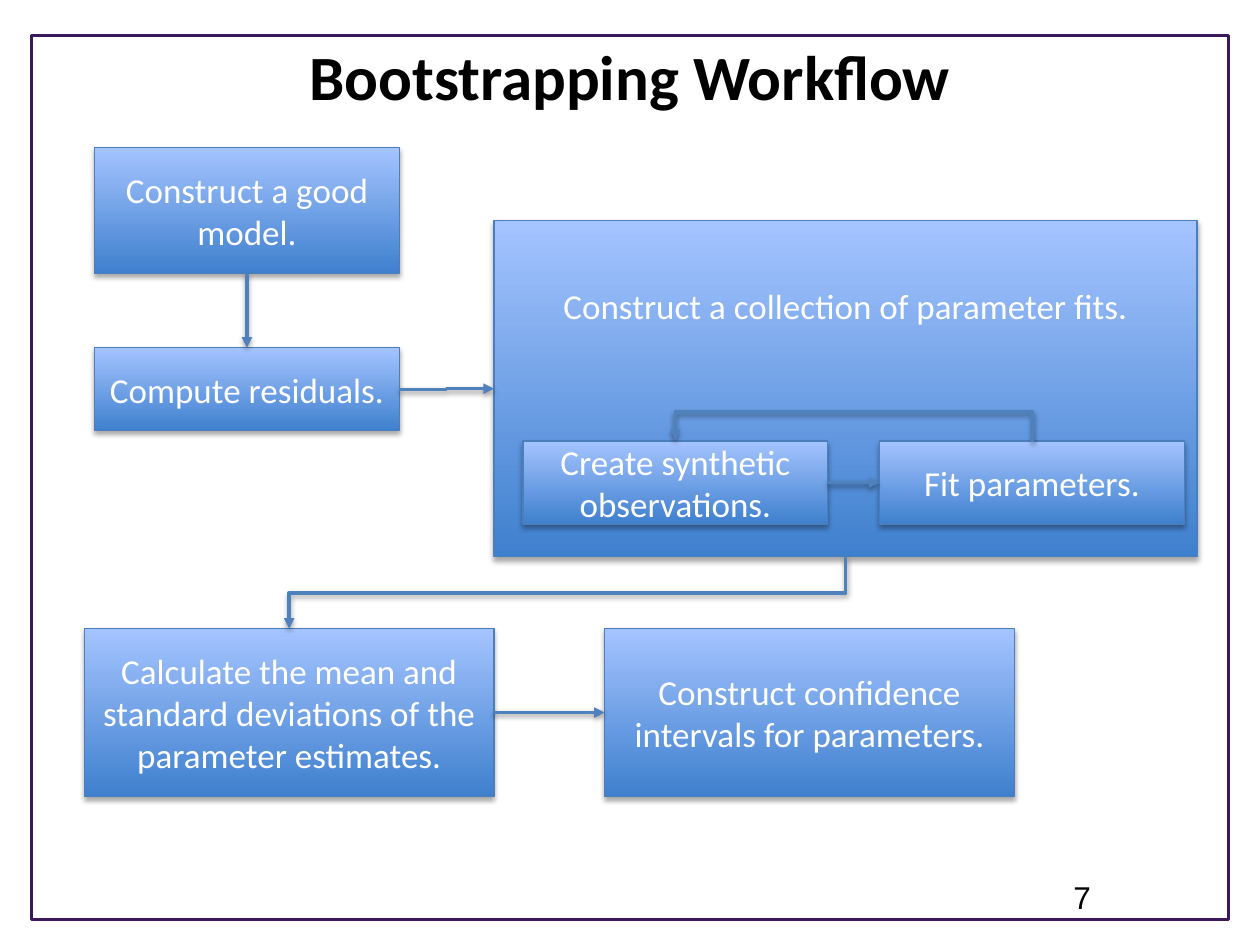
from lxml import etree
from pptx import Presentation
from pptx.dml.color import RGBColor
from pptx.enum.dml import MSO_LINE
from pptx.enum.shapes import MSO_CONNECTOR, MSO_SHAPE
from pptx.enum.text import MSO_ANCHOR, PP_ALIGN
from pptx.oxml.ns import qn
from pptx.util import Inches, Pt

RECTANGLE = MSO_SHAPE.RECTANGLE
ELBOW = MSO_CONNECTOR.ELBOW
SOLID = MSO_LINE.SOLID
TOP, MIDDLE = MSO_ANCHOR.TOP, MSO_ANCHOR.MIDDLE
LEFT, CENTER = PP_ALIGN.LEFT, PP_ALIGN.CENTER

# Connection sites of a rectangle
SITE_TOP, SITE_LEFT, SITE_BOTTOM, SITE_RIGHT = range(4)

# Grid: left edges, row tops and box sizes in inches
COLUMN, INNER_COLUMN, BOTTOM_COLUMN = 0.75, 4.15, 0.67
INNER_ROW, BOTTOM_ROW = 3.5, 4.99
SMALL_WIDTH, SMALL_HEIGHT = 2.42, 0.66
LARGE_WIDTH, LARGE_HEIGHT = 3.25, 1.33
INNER_STEP, BOTTOM_STEP = 2.83, 4.13


def color(hex_string):
    return RGBColor.from_string(hex_string)


def write(shape, text, size, font, hex_color, align=CENTER, anchor=MIDDLE, bold=False):
    frame = shape.text_frame
    frame.text = text
    frame.word_wrap = True
    frame.vertical_anchor = anchor
    para = frame.paragraphs[0]
    para.alignment = align
    span = para.runs[0]
    span.font.size = Pt(size)
    span.font.name = font
    span.font.bold = bold
    span.font.color.rgb = color(hex_color)


def add_shadow(shape, opacity, distance):
    """Soft black shadow straight below the shape."""
    properties = shape._element.spPr
    for old in properties.findall(qn("a:effectLst")):
        properties.remove(old)
    effects = etree.SubElement(properties, qn("a:effectLst"))
    shadow = etree.SubElement(effects, qn("a:outerShdw"), blurRad=str(Pt(3.1)),
                              dist=str(Pt(distance)), dir="5400000", rotWithShape="0")
    black = etree.SubElement(shadow, qn("a:srgbClr"), val="000000")
    etree.SubElement(black, qn("a:alpha"), val=str(opacity * 1000))


def add_label(slide, text, left, top, width, height, **style):
    box = slide.shapes.add_textbox(*map(Inches, (left, top, width, height)))
    write(box, text, **style)


def add_frame(slide):
    frame = slide.shapes.add_shape(RECTANGLE, *map(Inches, (0.25, 0.28, 9.5, 7.02)))
    frame.shadow.inherit = False
    frame.fill.background()
    frame.line.color.rgb = color("3B185A")
    frame.line.width = Pt(1.75)


def add_step(slide, text, left, top, width=SMALL_WIDTH, height=SMALL_HEIGHT, anchor=MIDDLE):
    step = slide.shapes.add_shape(RECTANGLE, *map(Inches, (left, top, width, height)))
    step.fill.gradient()
    step.fill.gradient_angle = 90
    for stop, shade in zip(step.fill.gradient_stops, ("3F80CE", "A4C4FF")):
        stop.color.rgb = color(shade)
    step.line.color.rgb = color("4B7EBC")
    step.line.width = Pt(0.75)
    add_shadow(step, opacity=35, distance=1.8)
    write(step, text, 20, "Calibri", "FFFFFF", anchor=anchor)
    return step


def add_arrow(slide, start, start_site, end, end_site):
    arrow = slide.shapes.add_connector(ELBOW, 0, 0, 0, 0)
    arrow.begin_connect(start, start_site)
    arrow.end_connect(end, end_site)
    arrow.line.color.rgb = color("4F81BD")
    arrow.line.width = Pt(2)
    arrow.line.dash_style = SOLID
    etree.SubElement(arrow.line._get_or_add_ln(), qn("a:tailEnd"), type="triangle")
    add_shadow(arrow, opacity=38, distance=1.6)
    return arrow


def turn_arrow(arrow, degrees, flip=False, minimum=0):
    """Make an elbow leave and arrive vertically by turning its box a quarter."""
    center_x = arrow.left + arrow.width // 2
    center_y = arrow.top + arrow.height // 2
    length, spread = max(arrow.height, minimum), arrow.width
    arrow.left, arrow.top = center_x - length // 2, center_y - spread // 2
    arrow.width, arrow.height = length, spread
    transform = arrow._element.spPr.find(qn("a:xfrm"))
    for name in ("flipH", "flipV"):
        transform.attrib.pop(name, None)
    transform.set("rot", str(degrees * 60000))
    if flip:
        transform.set("flipV", "1")


def raise_loop(arrow, rise):
    """Set the elbow's bend to the given height above both ends."""
    values = arrow._element.spPr.find(qn("a:prstGeom")).find(qn("a:avLst"))
    share = round(rise / arrow.width * 100000)
    etree.SubElement(values, qn("a:gd"), name="adj1", fmla=f"val {share}")


def main():
    deck = Presentation()
    deck.slide_width, deck.slide_height = Inches(10), Inches(7.5)
    slide = deck.slides.add_slide(deck.slide_layouts[6])

    # Frame, title and page number
    add_frame(slide)
    add_label(slide, "Bootstrapping Workflow", 0.5, 0.25, 9, 0.92, size=36,
              font="Calibri", hex_color="000000", anchor=TOP, bold=True)
    add_label(slide, "7", 8.42, 6.92, 0.58, 0.4, size=18, font="Arial",
              hex_color="000000", align=LEFT, anchor=TOP)

    # Workflow steps
    model = add_step(slide, "Construct a good model.", COLUMN, 1.17, height=1)
    residuals = add_step(slide, "Compute residuals.", COLUMN, 2.76)
    collection = add_step(slide, "Construct a collection of parameter fits.",
                          3.92, 1.75, 5.58, 2.67, anchor=TOP)
    collection.text_frame.margin_top = Inches(0.51)
    synthetic, fit = [
        add_step(slide, text, INNER_COLUMN + index * INNER_STEP, INNER_ROW)
        for index, text in enumerate(("Create synthetic observations.", "Fit parameters."))]
    statistics, intervals = [
        add_step(slide, text, BOTTOM_COLUMN + index * BOTTOM_STEP, BOTTOM_ROW,
                 LARGE_WIDTH, LARGE_HEIGHT)
        for index, text in enumerate((
            "Calculate the mean and standard deviations of the parameter estimates.",
            "Construct confidence intervals for parameters."))]

    # Arrows to the right
    for start, end in ((residuals, collection), (synthetic, fit), (statistics, intervals)):
        add_arrow(slide, start, SITE_RIGHT, end, SITE_LEFT)

    # Arrows downwards
    for start, end in ((model, residuals), (collection, statistics)):
        turn_arrow(add_arrow(slide, start, SITE_BOTTOM, end, SITE_TOP), 90)

    # Loop back to new observations
    loop = add_arrow(slide, fit, SITE_TOP, synthetic, SITE_TOP)
    turn_arrow(loop, 270, flip=True, minimum=Inches(0.01))
    raise_loop(loop, Inches(0.24))

    deck.save("out.pptx")


main()
